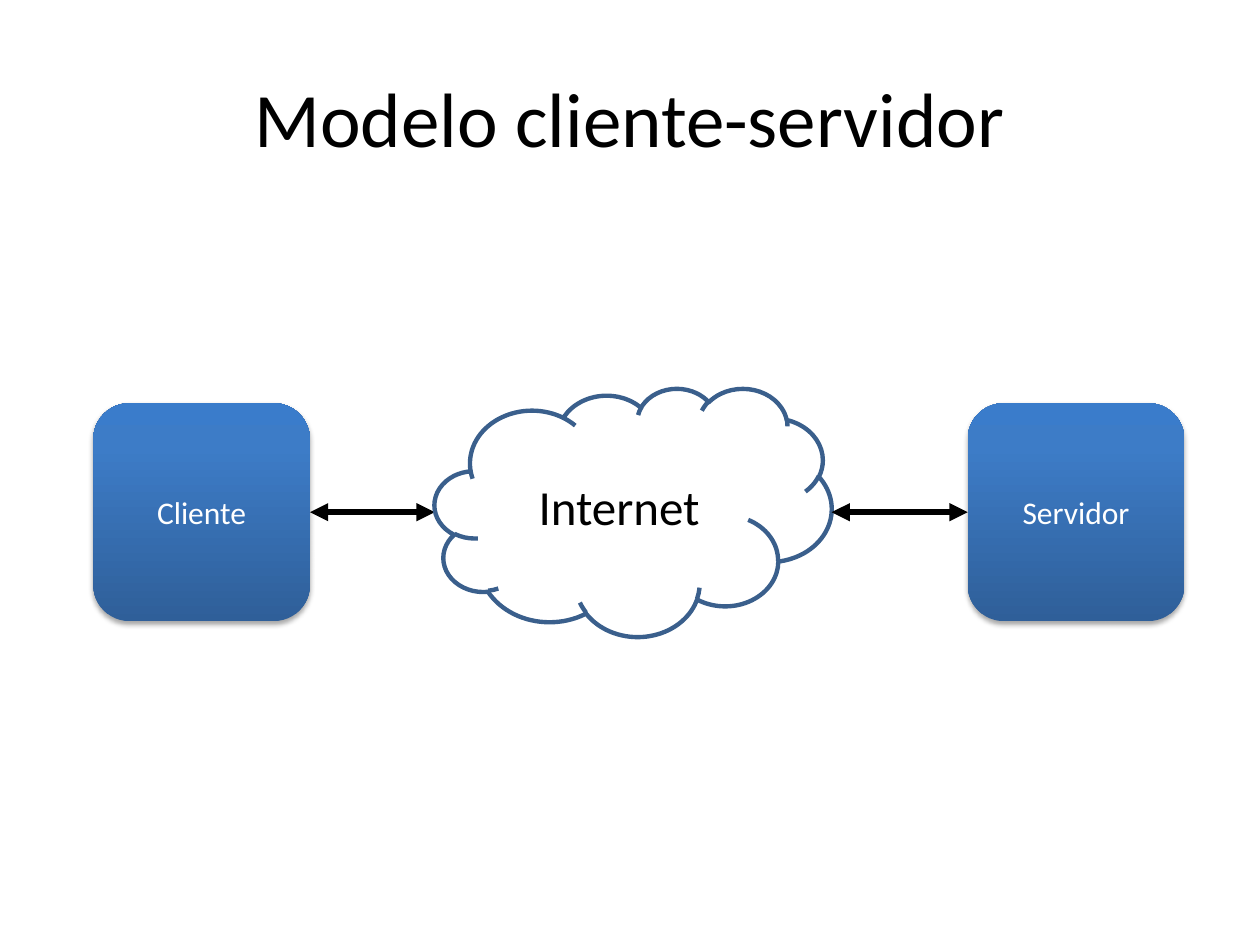
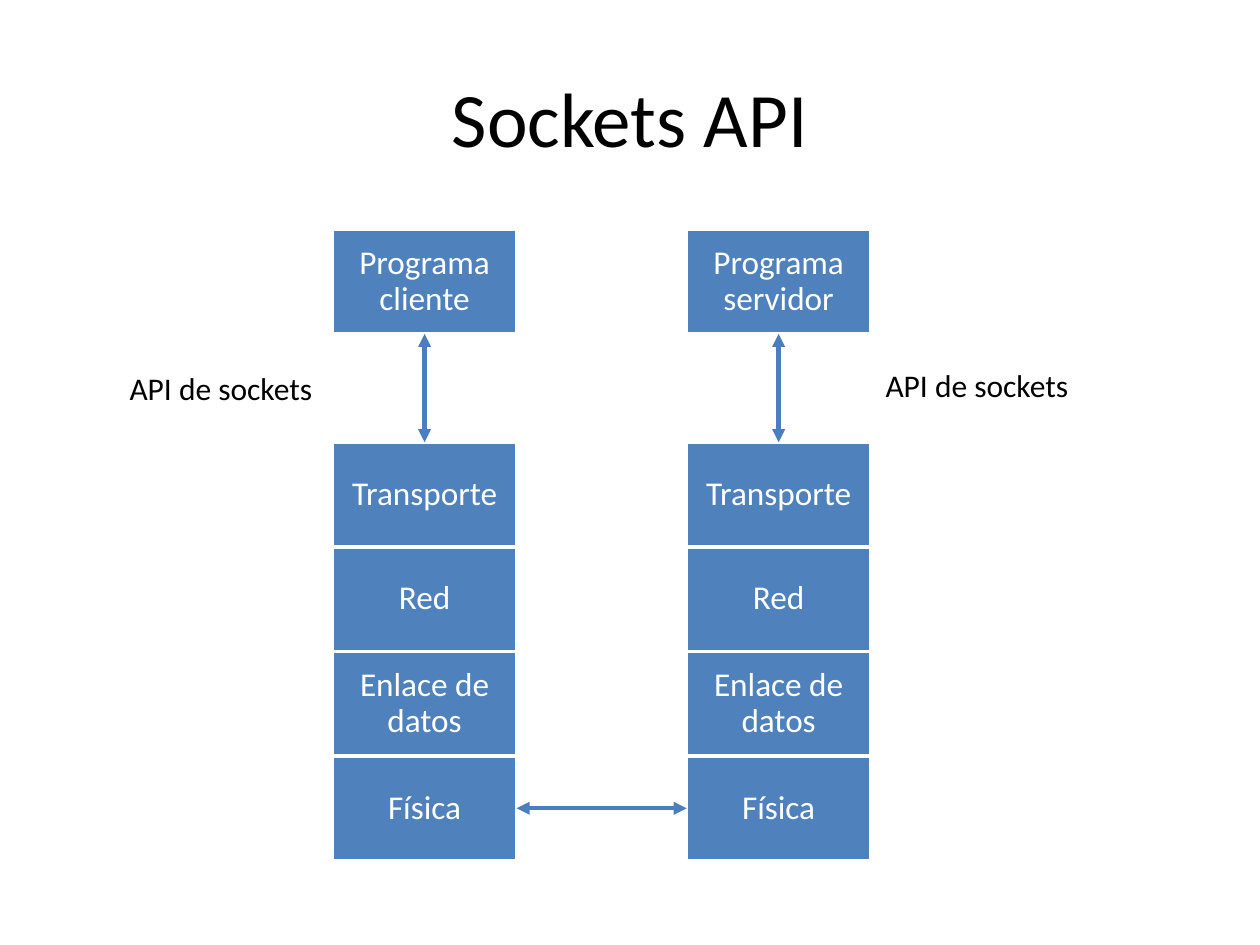
from lxml import etree
from pptx import Presentation
from pptx.dml.color import RGBColor
from pptx.enum.shapes import MSO_CONNECTOR, MSO_SHAPE
from pptx.enum.text import MSO_ANCHOR, PP_ALIGN
from pptx.oxml import parse_xml
from pptx.oxml.ns import nsdecls, qn
from pptx.util import Inches, Pt

RECT, ROUND, CLOUD = MSO_SHAPE.RECTANGLE, MSO_SHAPE.ROUNDED_RECTANGLE, MSO_SHAPE.CLOUD
LINE = MSO_CONNECTOR.STRAIGHT
MID, TOP = MSO_ANCHOR.MIDDLE, MSO_ANCHOR.TOP
LEFT, CENTER = PP_ALIGN.LEFT, PP_ALIGN.CENTER
N_SIDE, W_SIDE, S_SIDE, E_SIDE = range(4)

# Content
TITLES = ["Modelo cliente-servidor", "Sockets API"]
HOSTS = [("Cliente", 0.74), ("Servidor", 7.68)]
NET = "Internet"
LAYERS = ["Transporte", "Red", "Enlace de datos", "Física"]
STACKS = [("Programa cliente", 2.64), ("Programa servidor", 5.45)]
LABELS = [("API de sockets", 0.93, 2.88), ("API de sockets", 6.93, 2.86)]

# Style
FONT = "Calibri"
COLORS = {"ink": "000000", "paper": "FFFFFF", "cell": "4F81BD",
          "arrow": "4B7EBC", "cloud": "3A5F8C"}
FADE = [(0, "2F5F99"), (80, "3D7CC7"), (100, "3A7CCB")]

# Layout
HOST_Y, HOST_W, HOST_H = 3.2, 1.72, 1.73
CLOUD_BOX = (3.45, 3.08, 3.15, 1.97)
CELL_W, CELL_H = 1.46, 0.83
APP_Y, STACK_Y = 1.82, 3.51


def color(name):
    return RGBColor.from_string(COLORS[name])


def write(shape, text, size=18, ink="ink", align=CENTER, anchor=MID,
          wrap=True, inset=None, spacing=None):
    frame = shape.text_frame
    frame.word_wrap, frame.vertical_anchor = wrap, anchor
    if inset is not None:
        frame.margin_left = frame.margin_right = Inches(inset)
        frame.margin_top = frame.margin_bottom = Inches(inset)
    para = frame.paragraphs[0]
    para.alignment, para.line_spacing = align, spacing
    run = para.add_run()
    run.text = text
    run.font.name, run.font.size = FONT, Pt(size)
    run.font.color.rgb = color(ink)


def add_text(slide, text, box, **style):
    write(slide.shapes.add_textbox(*map(Inches, box)), text, **style)


def add_box(slide, kind, box, fill=None, line=None, width=2):
    shape = slide.shapes.add_shape(kind, *map(Inches, box))
    shape.shadow.inherit = False
    if fill:
        shape.fill.solid()
        shape.fill.fore_color.rgb = color(fill)
    else:
        shape.fill.background()
    if line:
        shape.line.color.rgb = color(line)
        shape.line.width = Pt(width)
    else:
        shape.line.fill.background()
    return shape


def add_host(slide, text, left):
    """Rounded box with an upward fade and a soft shadow."""
    host = add_box(slide, ROUND, (left, HOST_Y, HOST_W, HOST_H))
    props = host._element.spPr
    stops = "".join(f'<a:gs pos="{pos * 1000}"><a:srgbClr val="{tint}"/></a:gs>'
                    for pos, tint in FADE)
    fade = parse_xml(f'<a:gradFill {nsdecls("a")} rotWithShape="1"><a:gsLst>{stops}'
                     '</a:gsLst><a:lin ang="16200000" scaled="0"/></a:gradFill>')
    props.replace(props.find(qn("a:noFill")), fade)
    props.find(qn("a:effectLst")).append(parse_xml(
        f'<a:outerShdw {nsdecls("a")} blurRad="{Pt(3.1)}" dist="{Pt(1.8)}" '
        'dir="5400000" rotWithShape="0"><a:srgbClr val="000000">'
        '<a:alpha val="35000"/></a:srgbClr></a:outerShdw>'))
    write(host, text, ink="paper")
    return host


def add_cell(slide, text, left, top):
    cell = add_box(slide, RECT, (left, top, CELL_W, CELL_H), "cell", "paper")
    write(cell, text, size=19, ink="paper", inset=0.08, spacing=0.9)
    return cell


def add_arrow(slide, start, side, end=None, end_side=None, point=(0, 0),
              ink="arrow", width=2.5):
    """Two-headed arrow from a box to another box or to a point."""
    arrow = slide.shapes.add_connector(LINE, 0, 0, *map(Inches, point))
    arrow.begin_connect(start, side)
    if end is not None:
        arrow.end_connect(end, end_side)
    arrow.line.color.rgb = color(ink)
    arrow.line.width = Pt(width)
    for tip in ("headEnd", "tailEnd"):
        etree.SubElement(arrow.line._get_or_add_ln(), qn(f"a:{tip}"), type="triangle")
    etree.SubElement(arrow._element.spPr, qn("a:effectLst"))


def add_slide(deck, title):
    slide = deck.slides.add_slide(deck.slide_layouts[6])
    add_text(slide, title, (0.5, 0.3, 9, 1.25), size=44)
    return slide


def draw_model(deck):
    slide = add_slide(deck, TITLES[0])
    client, server = [add_host(slide, *host) for host in HOSTS]
    mid = HOST_Y + HOST_H / 2
    left, _, width, _ = CLOUD_BOX
    bold = {"ink": "ink", "width": 3.5}
    add_arrow(slide, client, E_SIDE, point=(left, mid), **bold)
    write(add_box(slide, CLOUD, CLOUD_BOX, line="cloud", width=2.5), NET, size=28)
    add_arrow(slide, server, W_SIDE, point=(left + width, mid), **bold)


def draw_sockets(deck):
    slide = add_slide(deck, TITLES[1])
    feet = []
    for name, left in STACKS:
        app = add_cell(slide, name, left, APP_Y)
        cells = [add_cell(slide, layer, left, STACK_Y + row * CELL_H)
                 for row, layer in enumerate(LAYERS)]
        add_arrow(slide, app, S_SIDE, cells[0], N_SIDE)
        feet.append(cells[-1])
    add_arrow(slide, feet[1], W_SIDE, feet[0], E_SIDE)
    for text, left, top in LABELS:
        add_text(slide, text, (left, top, 1.67, 0.4), align=LEFT, anchor=TOP, wrap=False)


def main():
    deck = Presentation()
    deck.slide_width, deck.slide_height = Inches(10), Inches(7.5)
    draw_model(deck)
    draw_sockets(deck)
    deck.save("out.pptx")


if __name__ == "__main__":
    main()
